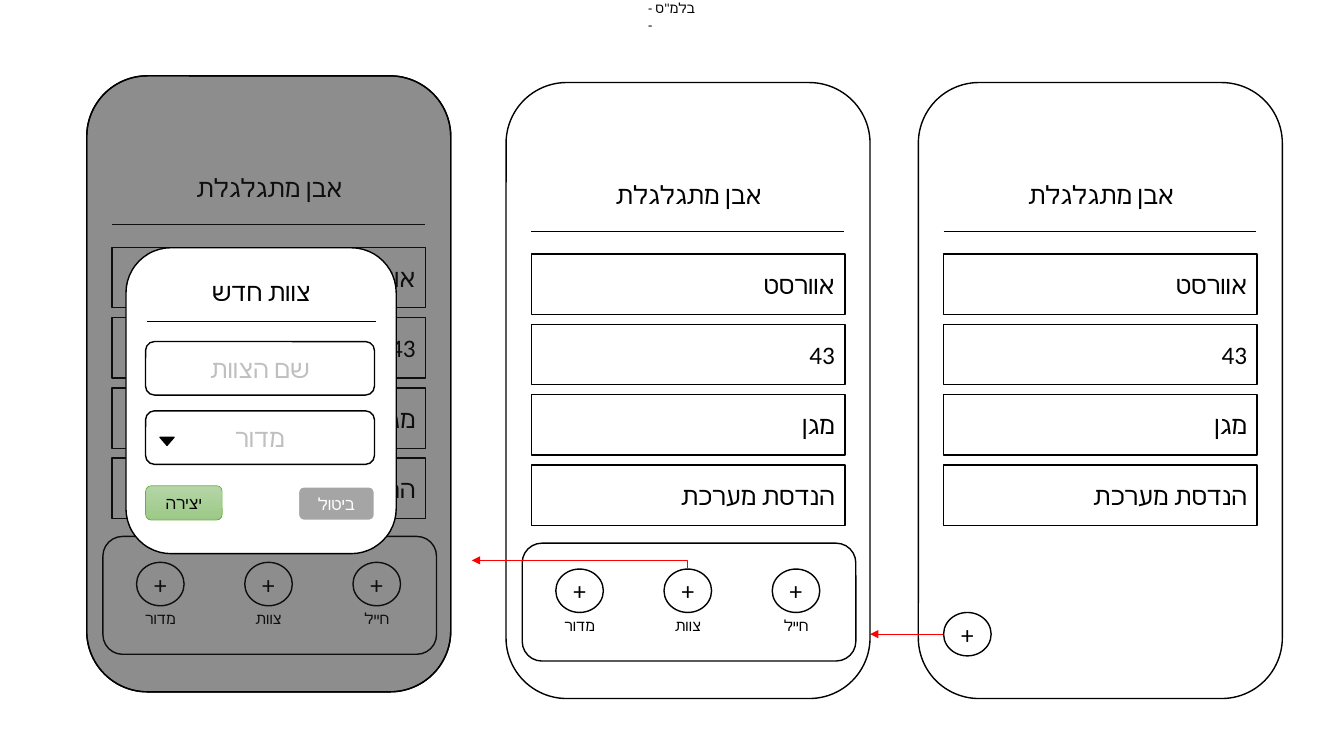
from dataclasses import dataclass

from lxml.etree import SubElement
from pptx import Presentation
from pptx.dml.color import RGBColor
from pptx.enum.shapes import MSO_CONNECTOR, MSO_SHAPE
from pptx.enum.text import MSO_ANCHOR, PP_ALIGN
from pptx.oxml.ns import qn
from pptx.util import Pt


@dataclass(frozen=True)
class Theme:
    font: str = "Calibri"
    black: str = "000000"
    white: str = "FFFFFF"
    red: str = "FF0000"
    shade: str = "1C1C1C"
    hint: str = "BFBFBF"
    gray: str = "A5A5A5"
    green_line: str = "70AD47"
    green_top: str = "B5D5A7"
    green_bottom: str = "9CC987"
    body: int = 18
    button: int = 12
    label: int = 11
    marking: int = 10
    outline: float = 1
    thin: float = 0.5


THEME = Theme()
PHONE_SIZE = (260, 440)
CIRCLE_SIZE = (34, 31)
TEAMS = ("אוורסט", "43", "מגן", "הנדסת מערכת")
ACTIONS = ("מדור", "צוות", "חייל")


def color(value):
    return RGBColor.from_string(value)


def write(shape, text, size=THEME.body, ink=THEME.black, align=PP_ALIGN.CENTER,
          anchor=MSO_ANCHOR.MIDDLE, right_to_left=False, margin=None):
    frame = shape.text_frame
    frame.word_wrap = True
    frame.vertical_anchor = anchor
    if margin is not None:
        frame.margin_left = frame.margin_right = Pt(margin)
        frame.margin_top = frame.margin_bottom = Pt(margin)
    paragraph = frame.paragraphs[0]
    paragraph.alignment = align
    if right_to_left:
        paragraph._p.get_or_add_pPr().set("rtl", "1")
    run = paragraph.add_run()
    run.text = text
    run.font.name = THEME.font
    run.font.size = Pt(size)
    run.font.color.rgb = color(ink)
    SubElement(run._r.get_or_add_rPr(), qn("a:cs"), typeface=THEME.font)


def add_text(slide, text, left, top, width, height, **text_format):
    box = slide.shapes.add_textbox(Pt(left), Pt(top), Pt(width), Pt(height))
    write(box, text, anchor=MSO_ANCHOR.TOP, **text_format)


def add_box(slide, kind, left, top, width, height, fill=THEME.white,
            line=THEME.black, line_width=THEME.outline):
    shape = slide.shapes.add_shape(kind, Pt(left), Pt(top), Pt(width), Pt(height))
    shape.shadow.inherit = False
    shape.fill.solid()
    shape.fill.fore_color.rgb = color(fill)
    shape.line.color.rgb = color(line)
    shape.line.width = Pt(line_width)
    return shape


def add_line(slide, start, end, ink=THEME.black, arrow=False, kind=MSO_CONNECTOR.STRAIGHT):
    connector = slide.shapes.add_connector(kind, *(Pt(value) for value in start + end))
    connector.line.color.rgb = color(ink)
    connector.line.width = Pt(THEME.thin)
    if arrow:
        SubElement(connector.line._get_or_add_ln(), qn("a:tailEnd"), type="triangle")
    SubElement(connector._element.spPr, qn("a:effectLst"))
    return connector


def add_corner_arrow(slide, start, end):
    """Draw an arrow that goes up from start and then left to end."""
    rise, run = start[1] - end[1], start[0] - end[0]
    middle_x, middle_y = (start[0] + end[0]) / 2, (start[1] + end[1]) / 2
    connector = add_line(slide, (middle_x - rise / 2, middle_y + run / 2),
                         (middle_x + rise / 2, middle_y - run / 2),
                         ink=THEME.red, arrow=True, kind=MSO_CONNECTOR.ELBOW)
    properties = connector._element.spPr
    properties.find(qn("a:xfrm")).set("rot", str(270 * 60000))
    properties.find(qn("a:prstGeom")).set("prst", "bentConnector2")


def add_plus(slide, left, top):
    write(add_box(slide, MSO_SHAPE.OVAL, left, top, *CIRCLE_SIZE), "+")


def add_phone(slide, left, top):
    """Draw a phone with its heading and list of teams."""
    add_box(slide, MSO_SHAPE.ROUNDED_RECTANGLE, left, top, *PHONE_SIZE)
    add_line(slide, (left + 18, top + 106), (left + 241.5, top + 106))
    for index, team in enumerate(TEAMS):
        row = add_box(slide, MSO_SHAPE.RECTANGLE, left + 18, top + 122.5 + 50.2 * index, 224, 43.2)
        write(row, team, align=PP_ALIGN.RIGHT)
    add_text(slide, "אבן מתגלגלת", left + 19, top + 65.5, 223, 29, right_to_left=True)


def add_actions(slide, left, top):
    """Draw the panel of add buttons at the foot of a phone."""
    add_box(slide, MSO_SHAPE.ROUNDED_RECTANGLE, left + 11.5, top + 329, 238.3, 84.2)
    for index, action in enumerate(ACTIONS):
        step = 77.3 * index
        add_plus(slide, left + 35.5 + step, top + 347.5)
        add_text(slide, action, left + 31.7 + step, top + 377.5, 41.8, 20.9,
                 size=THEME.label, right_to_left=True)


def add_shade(slide, left, top):
    shade = add_box(slide, MSO_SHAPE.ROUNDED_RECTANGLE, left, top, *PHONE_SIZE, fill=THEME.shade)
    tint = shade._element.spPr.find(qn("a:solidFill"))[0]
    SubElement(tint, qn("a:alpha"), val="50000")


def add_dialog(slide):
    """Draw the form for a new team."""
    rounded = MSO_SHAPE.ROUNDED_RECTANGLE
    add_box(slide, rounded, 90, 177, 193, 218.5)
    add_text(slide, "צוות חדש", 105, 193.7, 163.5, 72.7)
    add_line(slide, (105, 229.5), (268.5, 229.5))
    for hint, top in (("שם הצוות", 244), ("מדור", 293.5)):
        write(add_box(slide, rounded, 104, top, 163.5, 38.2), hint, ink=THEME.hint)
    triangle = add_box(slide, MSO_SHAPE.ISOSCELES_TRIANGLE, 114.3, 312.3, 10, 5.8, fill=THEME.black)
    triangle.rotation = 180

    cancel = add_box(slide, rounded, 213, 347.5, 54.7, 24.5,
                     fill=THEME.gray, line=THEME.white, line_width=1.5)
    write(cancel, "ביטול", size=THEME.button, ink=THEME.white)
    create = add_box(slide, rounded, 104, 347, 54.7, 24.5,
                     line=THEME.green_line, line_width=THEME.thin)
    create.fill.gradient()
    create.fill.gradient_angle = 270
    for stop, value in zip(create.fill.gradient_stops, (THEME.green_top, THEME.green_bottom)):
        stop.color.rgb = color(value)
    write(create, "יצירה", size=THEME.button)


def main():
    presentation = Presentation()
    presentation.slide_width, presentation.slide_height = Pt(960), Pt(540)
    slide = presentation.slides.add_slide(presentation.slide_layouts[6])
    add_text(slide, "- בלמ\"ס -", 463, 0, 36.7, 12.2,
             size=THEME.marking, align=PP_ALIGN.LEFT, margin=0)

    list_phone, menu_phone, form_phone = (656, 59), (361.5, 59), (62, 54.2)
    add_phone(slide, *list_phone)
    add_line(slide, (674, 453), (621.5, 453), ink=THEME.red, arrow=True)
    add_plus(slide, 674, 437.5)

    add_phone(slide, *menu_phone)
    add_actions(slide, *menu_phone)
    add_corner_arrow(slide, (491.3, 406), (337, 400.3))

    add_phone(slide, *form_phone)
    add_actions(slide, *form_phone)
    add_shade(slide, *form_phone)
    add_dialog(slide)
    presentation.save("out.pptx")


if __name__ == "__main__":
    main()
